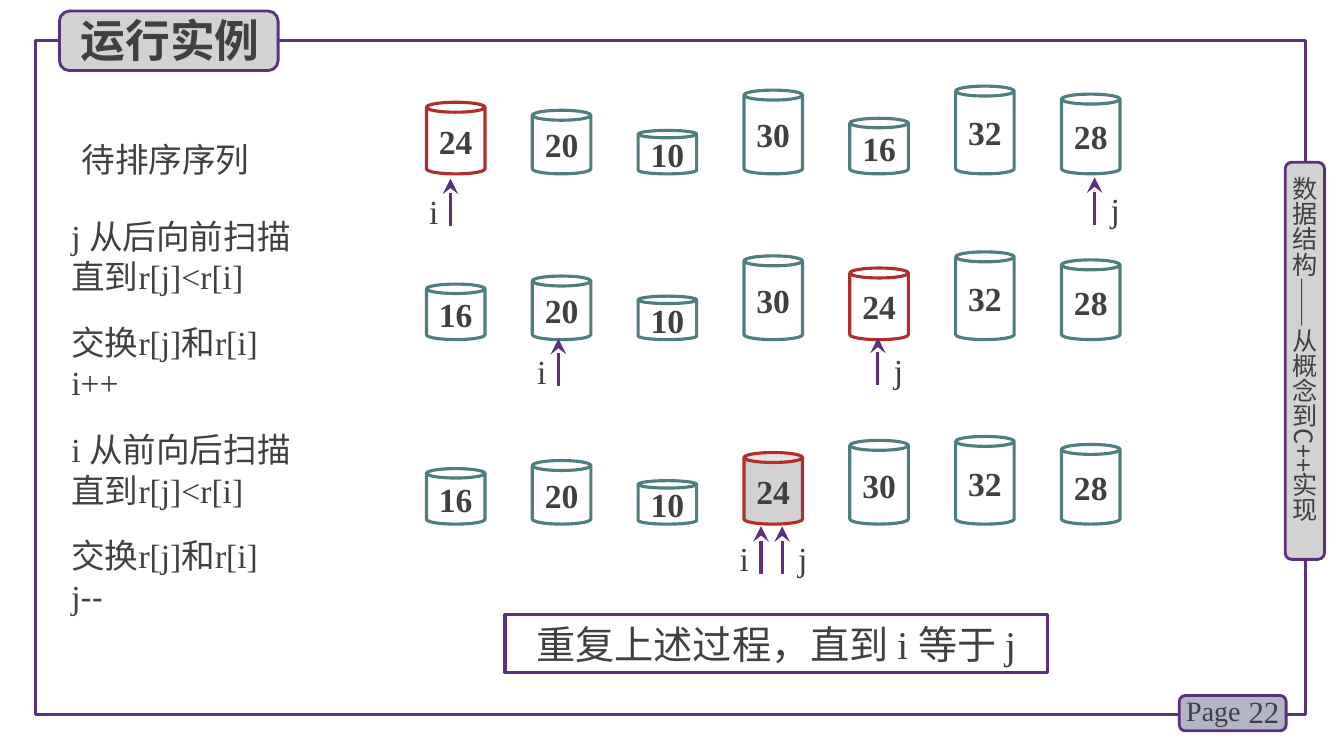
"""Build the slide that traces one partition pass of quicksort."""
from pptx import Presentation
from pptx.dml.color import RGBColor
from pptx.enum.shapes import MSO_CONNECTOR, MSO_SHAPE
from pptx.enum.text import MSO_ANCHOR, PP_ALIGN
from pptx.oxml.ns import qn
from pptx.util import Pt
from lxml.etree import SubElement

FRAME = RGBColor(0x5A, 0x32, 0x7D)
PURPLE = RGBColor(0x5C, 0x30, 0x7D)
TEAL = RGBColor(0x50, 0x7D, 0x7D)
RED = RGBColor(0xB4, 0x2D, 0x2D)
GREY = RGBColor(0xD2, 0xD2, 0xD2)
LILAC = RGBColor(0xB4, 0xB4, 0xC8)
INK = RGBColor(0x40, 0x40, 0x40)
SERIF = "Times New Roman"
SANS = "Noto Sans CJK SC"

CAN_LEFT, CAN_PITCH, CAN_WIDTH = 304.6, 75.6, 41.8
PIVOT = 24
ROWS = [
    (124.2, [24, 20, 10, 30, 16, 32, 28], None),
    (242.6, [16, 20, 10, 30, 24, 32, 28], None),
    (374.4, [16, 20, 10, 24, 30, 32, 28], GREY),
]
POINTERS = [
    ("i", 321.8, 127.6), ("j", 781.9, 126.7),
    ("i", 398.9, 242), ("j", 627.1, 241.2),
    ("i", 543.6, 375.8), ("j", 558.7, 376),
]
STEPS = [
    (150, "j 从后向前扫描\n直到r[j]<r[i]"),
    (225.6, "交换r[j]和r[i]\ni++"),
    (302.6, "i 从前向后扫描\n直到r[j]<r[i]"),
    (378.2, "交换r[j]和r[i]\nj"),
]


def style_run(r, size, name=SERIF, bold=False):
    """Set the size, typefaces, weight and colour of a run."""
    r.font.size = Pt(size)
    r.font.bold = bold
    r.font.name = name
    r.font.color.rgb = INK
    SubElement(r.font._element, qn("a:ea")).set("typeface", SANS)


def fill_text(tf, text, size, name=SERIF, bold=False, align=PP_ALIGN.LEFT,
              anchor=MSO_ANCHOR.MIDDLE, wrap=True):
    """Write text into a frame and format every run."""
    tf.text = text
    tf.word_wrap = wrap
    tf.vertical_anchor = anchor
    for p in tf.paragraphs:
        p.alignment = align
        for r in p.runs:
            style_run(r, size, name, bold)


def add_text(s, box, text, size, **options):
    """Add a text box and return its frame."""
    tf = s.shapes.add_textbox(*map(Pt, box)).text_frame
    fill_text(tf, text, size, **options)
    return tf


def add_outline(s, kind, box, line, width=2.25, fill=None):
    """Add an outlined preset shape with an optional fill."""
    sp = s.shapes.add_shape(kind, *map(Pt, box))
    sp.shadow.inherit = False
    sp.line.color.rgb = line
    sp.line.width = Pt(width)
    if fill is None:
        sp.fill.background()
    else:
        sp.fill.solid()
        sp.fill.fore_color.rgb = fill
    return sp


def add_badge(s, box, fill):
    """Add a rounded label background."""
    add_outline(s, MSO_SHAPE.ROUNDED_RECTANGLE, box, PURPLE, 2, fill)


def add_can_row(s, bottom, values, pivot_fill):
    """Add a row of cans whose heights follow their values."""
    for k, value in enumerate(values):
        height = 16.6 + 1.44 * value
        box = (CAN_LEFT + k * CAN_PITCH, bottom - height, CAN_WIDTH, height)
        pivot = value == PIVOT
        sp = add_outline(s, MSO_SHAPE.CAN, box, RED if pivot else TEAL,
                         fill=pivot_fill if pivot else None)
        sp.adjustments[0] = 0.17
        fill_text(sp.text_frame, str(value), 24, bold=True,
                  align=PP_ALIGN.CENTER, wrap=False)


def add_pointer(s, label, x, tip):
    """Add an upward arrow with its index name beside it."""
    c = s.shapes.add_connector(MSO_CONNECTOR.STRAIGHT, Pt(x), Pt(tip + 34), Pt(x), Pt(tip))
    c.line.color.rgb = PURPLE
    c.line.width = Pt(2.25)
    tail = SubElement(c.line._get_or_add_ln(), qn("a:tailEnd"))
    for key, value in (("type", "stealth"), ("w", "lg"), ("len", "lg")):
        tail.set(key, value)
    SubElement(c._element.spPr, qn("a:effectLst"))
    offset = 4.3 if label == "j" else -22.3
    add_text(s, (x + offset, tip + 5, 18, 36), label, 24, anchor=MSO_ANCHOR.TOP)


def add_steps(s):
    """Add the two-line explanations on the left."""
    for top, text in STEPS:
        tf = add_text(s, (43.9, top, 177.8, 65.5), text, 24)
        for p in tf.paragraphs:
            p.line_spacing = Pt(29)
    r = tf.paragraphs[-1].add_run()
    r.text = "--"
    style_run(r, 24, "Arial")


def add_side_title(s):
    """Add the vertical book title on the right edge."""
    add_badge(s, (918, 115.9, 28.1, 283.7), GREY)
    tf = add_text(s, (920.9, 126, 21.6, 272.2), "数据结构——从概念到C++实现", 18, name=SANS)
    tf.margin_left = tf.margin_right = tf.margin_top = tf.margin_bottom = 0
    tf._txBody.bodyPr.set("vert", "eaVert")


def add_page_number(s):
    """Add the page badge in the lower right corner."""
    add_badge(s, (842.4, 496.8, 76.3, 25.2), LILAC)
    add_text(s, (878.4, 493.9, 42.5, 28.8), "22", 22, align=PP_ALIGN.RIGHT)
    add_text(s, (840.2, 491.8, 56.2, 31.7), "Page", 20, anchor=MSO_ANCHOR.TOP)


def main():
    """Assemble and save the slide."""
    prs = Presentation()
    prs.slide_width, prs.slide_height = Pt(960), Pt(540)
    s = prs.slides.add_slide(prs.slide_layouts[6])
    add_outline(s, MSO_SHAPE.RECTANGLE, (25.2, 28.8, 907.2, 481.7), FRAME)
    add_page_number(s)
    add_side_title(s)
    add_badge(s, (42.5, 7.9, 156.2, 42.5), GREY)
    add_text(s, (50.4, 5, 152.6, 46.1), "运行实例", 32, name=SANS, bold=True)
    add_text(s, (51.1, 95.8, 148.3, 36), "待排序序列", 24)
    add_steps(s)
    for bottom, values, pivot_fill in ROWS:
        add_can_row(s, bottom, values, pivot_fill)
    for label, x, tip in POINTERS:
        add_pointer(s, label, x, tip)
    sp = add_outline(s, MSO_SHAPE.RECTANGLE, (360.7, 439.2, 387.4, 41), PURPLE)
    fill_text(sp.text_frame, "重复上述过程，直到 i 等于 j", 28, align=PP_ALIGN.CENTER)
    prs.save("out.pptx")


if __name__ == "__main__":
    main()
